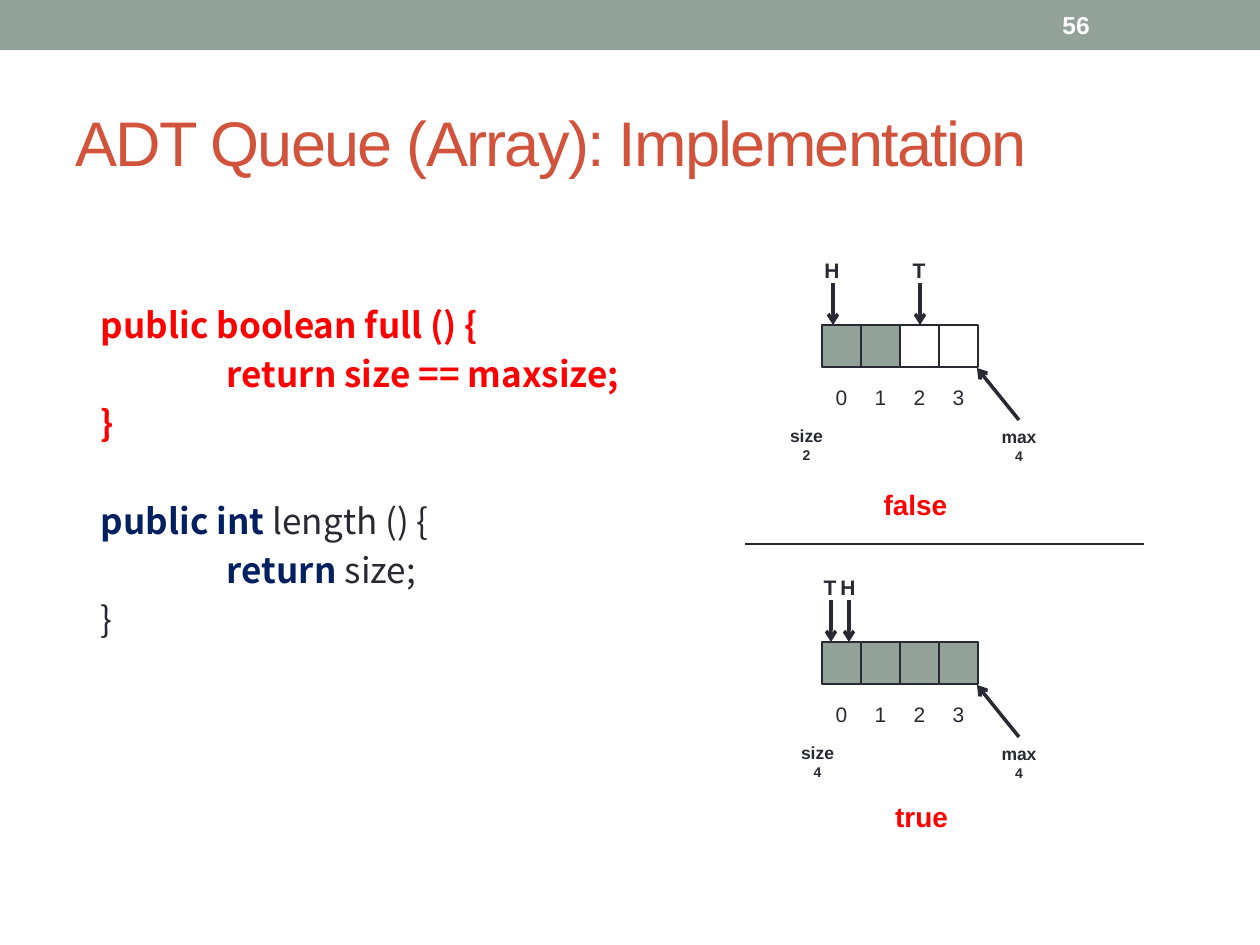
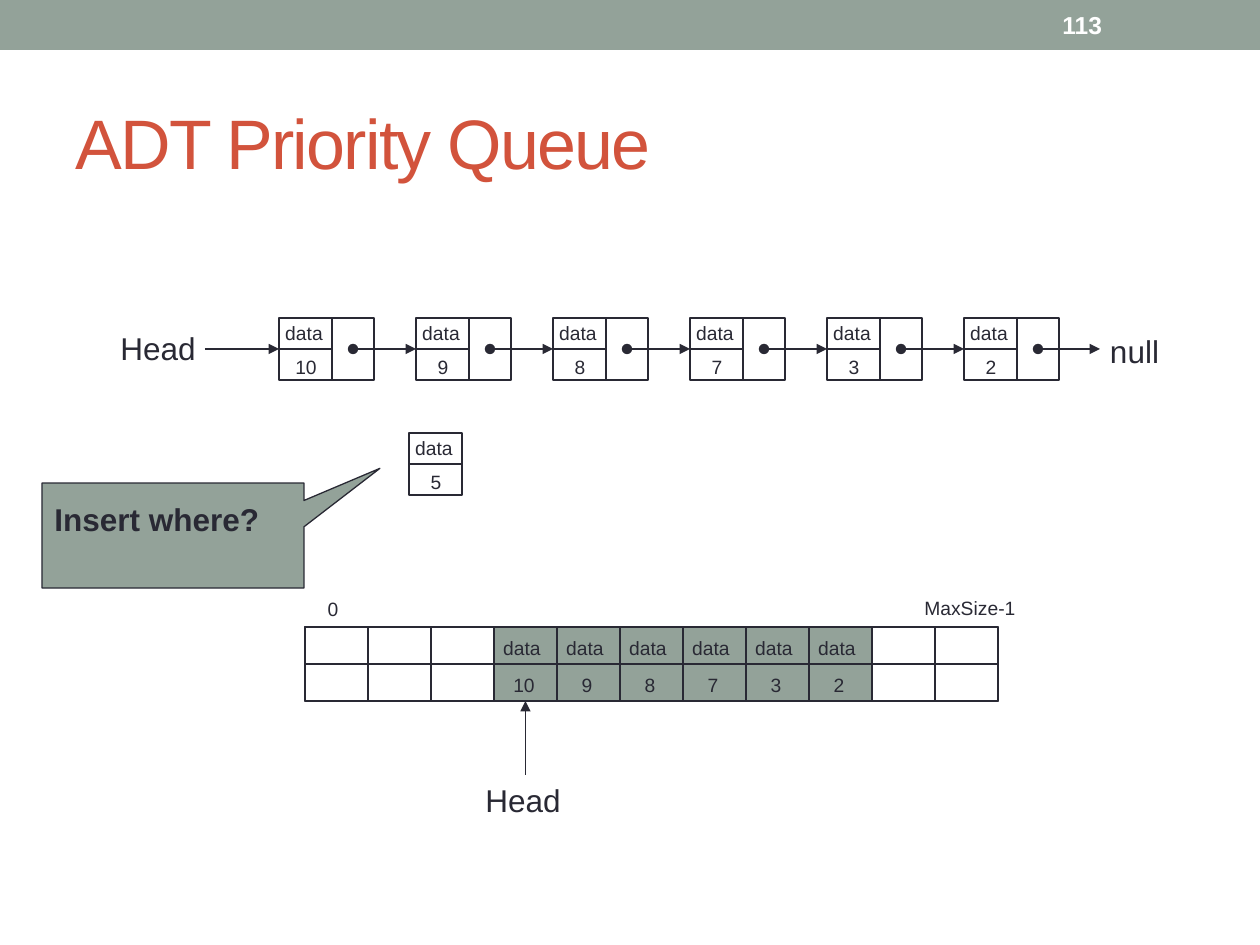
from lxml import etree
from pptx import Presentation
from pptx.dml.color import RGBColor
from pptx.enum.shapes import MSO_CONNECTOR as Connector, MSO_SHAPE as Shape
from pptx.enum.text import MSO_ANCHOR as Anchor, PP_ALIGN as Align
from pptx.oxml.ns import qn
from pptx.util import Emu, Pt

PX_PER_INCH = 126
SAGE, INK, RUST = "93A299", "292934", "D2533C"
RED, NAVY, WHITE = "FF0000", "002060", "FFFFFF"
BODY_FONT, CODE_FONT = "Arial", "Noto Sans CJK SC"
TOP, LEFT, BOTTOM, RIGHT = range(4)


def px(length):
    return Emu(round(length * 914400 / PX_PER_INCH))


def color(hex_string):
    return RGBColor.from_string(hex_string)


def style_font(font, size, hex_string, bold=False, name=BODY_FONT):
    font.name, font.size, font.bold = name, Pt(size), bold
    font.color.rgb = color(hex_string)


class Deck:
    def __init__(self):
        self.presentation = Presentation()
        self.presentation.slide_width = px(1260)
        self.presentation.slide_height = px(945)
        self.slide = None

    def new_slide(self, title, title_size, number):
        self.slide = self.presentation.slides.add_slide(self.presentation.slide_layouts[6])
        self.box(0, 0, 1260, 50, SAGE, line=None)
        heading = self.text(63, 73, 1134, 136, title, [title_size], RUST, anchor=Anchor.MIDDLE)
        for run in heading.text_frame.paragraphs[0].runs:
            run.font._element.set("spc", "-100")
        self.text(1050, 2, 147, 45, number, [14], WHITE, bold=True, anchor=Anchor.MIDDLE)

    def box(self, left, top, width, height, fill=None, line=1.25, kind=Shape.RECTANGLE):
        shape = self.slide.shapes.add_shape(kind, px(left), px(top), px(width), px(height))
        shape.shadow.inherit = False
        if fill:
            shape.fill.solid()
            shape.fill.fore_color.rgb = color(fill)
        else:
            shape.fill.background()
        if line:
            shape.line.color.rgb = color(INK)
            shape.line.width = Pt(line)
        else:
            shape.line.fill.background()
        return shape

    def text(self, left, top, width, height, content, sizes, hex_string=INK, bold=False,
             align=Align.LEFT, anchor=Anchor.TOP, wrap=True):
        """Add a text box; sizes holds one point size per paragraph."""
        shape = self.slide.shapes.add_textbox(px(left), px(top), px(width), px(height))
        frame = shape.text_frame
        frame.text = content
        frame.word_wrap, frame.vertical_anchor = wrap, anchor
        for paragraph, size in zip(frame.paragraphs, sizes):
            paragraph.alignment = align
            for run in paragraph.runs:
                style_font(run.font, size, hex_string, bold)
        return shape

    def label(self, left, top, width, content, *sizes, hex_string=INK, bold=False):
        """Add unwrapped text centred over the given width."""
        height = 13 + sum(2 * size for size in sizes)
        return self.text(left, top, width, height, content, sizes, hex_string, bold,
                         align=Align.CENTER, wrap=False)

    def line(self, start, end, width=0.75, head=None, tail=None, begin=None, finish=None):
        """Draw a line; begin and finish are (shape, side) pairs to join."""
        connector = self.slide.shapes.add_connector(
            Connector.STRAIGHT, *(px(value) for value in (*start, *end)))
        connector.line.color.rgb = color(INK)
        connector.line.width = Pt(width)
        outline = connector.line._get_or_add_ln()
        for tag, arrow in (("a:headEnd", head), ("a:tailEnd", tail)):
            if arrow:
                etree.SubElement(outline, qn(tag)).set("type", arrow)
        etree.SubElement(connector._element.spPr, qn("a:effectLst"))
        if begin:
            connector.begin_connect(*begin)
        if finish:
            connector.end_connect(*finish)
        return connector

    def code(self, left, top, width, height, lines):
        """Add code from (indent, gap before in points, runs) lines."""
        frame = self.slide.shapes.add_textbox(px(left), px(top), px(width), px(height)).text_frame
        frame.word_wrap = True
        frame.margin_left = frame.margin_right = frame.margin_top = frame.margin_bottom = 0
        for index, (indent, gap, runs) in enumerate(lines):
            paragraph = frame.add_paragraph() if index else frame.paragraphs[0]
            paragraph.line_spacing, paragraph.space_before = Pt(28), Pt(gap)
            paragraph._p.get_or_add_pPr().set("marL", str(px(indent)))
            for content, hex_string, bold in runs:
                run = paragraph.add_run()
                run.text = content
                style_font(run.font, 20, hex_string, bold, CODE_FONT)

    def queue_state(self, top, pointers, filled, size_left):
        """Draw a four-cell array with its pointers, indexes, size and max."""
        left, cell, capacity = 822, 39, 4
        for index in range(capacity):
            x = left + cell * index
            self.box(x, top, cell, 42, SAGE if index < filled else WHITE)
            self.label(x, top + 53, cell, str(index), 12)
        for name, x in pointers:
            self.label(x - 22, top - 74, 42, name, 12, bold=True)
            self.line((x, top - 42), (x, top), 2, tail="arrow")
        self.label(size_left, top + 94, 59, f"size\n{filled}", 10, 8, bold=True)
        maximum = self.label(988, top + 95, 62, f"max\n{capacity}", 10, 8, bold=True)
        self.line((1019, top + 95), (977, top + 43), 2, tail="arrow", begin=(maximum, TOP))

    def data_labels(self, center, data_top, value_top, value):
        width = 68
        self.label(center - width // 2 - 2, data_top, width, "data", 11)
        self.label(center - width // 2, value_top, width, str(value), 11)

    def data_cell(self, left, top, value):
        width, height = 53, 62
        middle = top + height // 2
        cell = self.box(left, top, width, height, line=0.75)
        self.line((left, middle), (left + width, middle), begin=(cell, LEFT), finish=(cell, RIGHT))
        self.data_labels(left + width // 2 + 1, top - 3, middle, value)
        return cell

    def linked_list(self, values):
        left, step, top, middle = 279, 137, 318, 349
        start, head = (205, middle), None
        self.text(95, 321, 126, 53, "Head", [18], align=Align.CENTER,
                  anchor=Anchor.MIDDLE, wrap=False)
        for index, value in enumerate(values):
            x = left + step * index
            cell = self.data_cell(x, top, value)
            self.box(x + 53, top, 42, 62, line=0.75)
            self.line(start, (x, middle), head=head, tail="triangle", finish=(cell, LEFT))
            start, head = (x + 74, middle), "oval"
        self.line(start, (1100, middle), head=head, tail="triangle")
        self.label(1093, 326, 83, "null", 18)

    def queue_array(self, values, first, capacity):
        left, top, cell, height = 305, 627, 63, 74
        middle = top + height // 2
        frame = self.box(left, top, cell * capacity, height, line=0.75)
        used = range(first, first + len(values))
        cells = [self.box(left + cell * index, top, cell, height, SAGE if index in used else None)
                 for index in range(capacity)]
        self.line((left, middle), (left + cell * capacity, middle),
                  begin=(frame, LEFT), finish=(frame, RIGHT))
        for index, value in zip(used, values):
            self.data_labels(left + cell * index + cell // 2 - 1, top + 3, middle + 3, value)
        self.label(314, 591, 38, "0", 11)
        self.label(907, 590, 126, "MaxSize-1", 11)
        head = self.text(473, 775, 105, 50, "Head", [18])
        self.line((525, 775), (525, 701), tail="triangle",
                  begin=(head, TOP), finish=(cells[first], BOTTOM))


def build_array_queue(deck):
    deck.new_slide("ADT Queue (Array): Implementation", 36, "56")
    deck.code(101, 296, 600, 345, [
        (0, 0, [("public boolean full () {", RED, True)]),
        (126, 0, [("return size == maxsize;", RED, True)]),
        (0, 0, [("}", RED, True)]),
        (0, 28, [("public int ", NAVY, True), ("length () {", INK, False)]),
        (126, 0, [("return ", NAVY, True), ("size;", INK, False)]),
        (0, 0, [("}", INK, False)]),
    ])
    deck.queue_state(325, [("H", 833), ("T", 920)], filled=2, size_left=777)
    deck.label(871, 481, 89, "false", 16, hex_string=RED, bold=True)
    deck.line((745, 544), (1144, 544))
    deck.queue_state(642, [("T", 831), ("H", 849)], filled=4, size_left=788)
    deck.label(881, 793, 81, "true", 16, hex_string=RED, bold=True)


def build_priority_queue(deck):
    priorities = [10, 9, 8, 7, 3, 2]
    deck.new_slide("ADT Priority Queue", 40, "113")
    deck.queue_array(priorities, first=3, capacity=11)
    deck.linked_list(priorities)
    deck.data_cell(409, 433, 5)
    callout = deck.box(42, 483, 262, 105, SAGE, 0.75, Shape.RECTANGULAR_CALLOUT)
    callout.adjustments[0], callout.adjustments[1] = 0.79, -0.64
    deck.text(42, 494, 243, 50, "Insert where?", [18], bold=True)


def main():
    deck = Deck()
    build_array_queue(deck)
    build_priority_queue(deck)
    deck.presentation.save("out.pptx")


if __name__ == "__main__":
    main()
